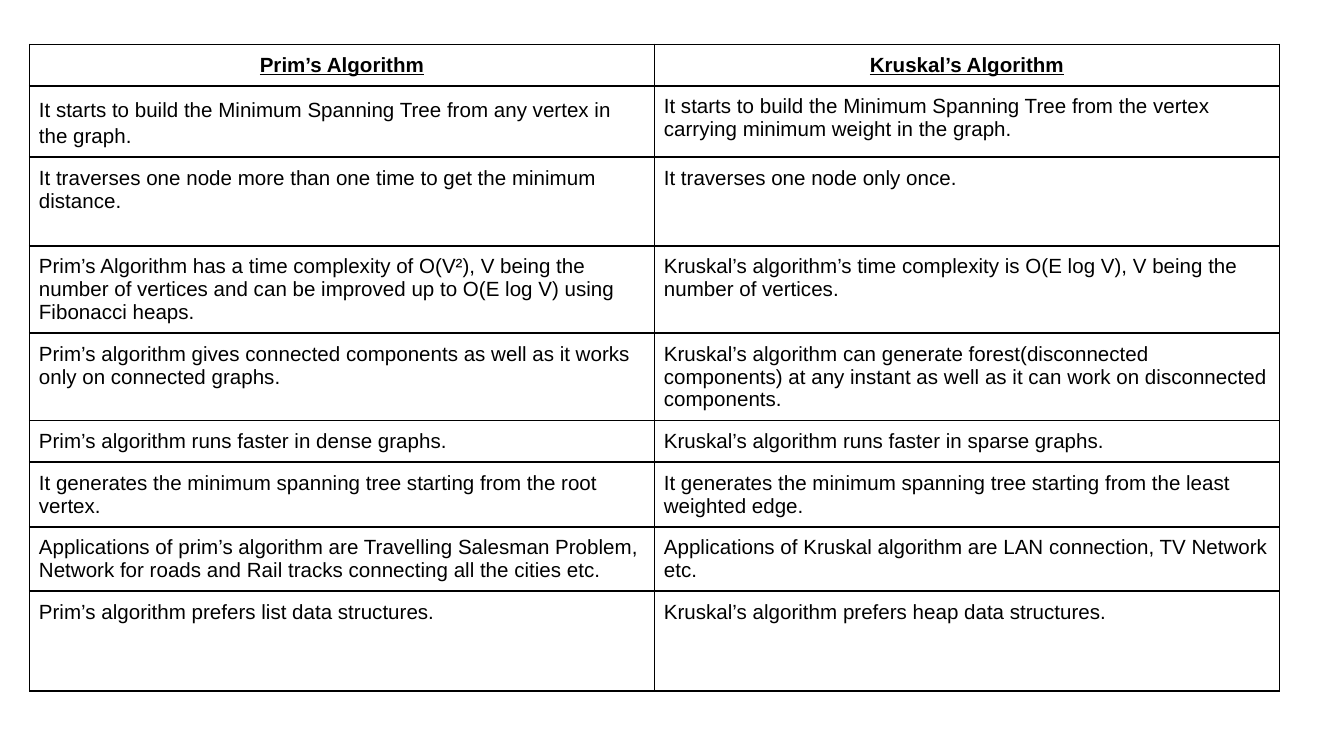
from lxml import etree
from pptx import Presentation
from pptx.dml.color import RGBColor
from pptx.enum.text import PP_ALIGN
from pptx.oxml.ns import qn
from pptx.util import Inches, Pt

CENTER = PP_ALIGN.CENTER
LEFT = PP_ALIGN.LEFT
BLANK_LAYOUT = 6
COLORS = {"ink": "000000", "paper": "FFFFFF"}
FONT = "Arial"
FONT_SIZE = 11
MARGIN = 0.07
SLIDE_WIDTH = 10
TABLE_LEFT, TABLE_TOP = 0.22, 0.33
COLUMN_WIDTH = 4.65
LOOSE_CELL = (1, 0)
LOOSE_SPACING = 1.15

COMPARISON = [
    (0.31, "Prim’s Algorithm", "Kruskal’s Algorithm"),
    (0.53, "It starts to build the Minimum Spanning Tree from any vertex in the graph.",
     "It starts to build the Minimum Spanning Tree from the vertex carrying minimum weight in the graph."),
    (0.66, "It traverses one node more than one time to get the minimum distance.",
     "It traverses one node only once."),
    (0.65, "Prim’s Algorithm has a time complexity of O(V²), V being the number of vertices "
     "and can be improved up to O(E log V) using Fibonacci heaps.",
     "Kruskal’s algorithm’s time complexity is O(E log V), V being the number of vertices."),
    (0.65, "Prim’s algorithm gives connected components as well as it works only on connected graphs.",
     "Kruskal’s algorithm can generate forest(disconnected components) at any instant "
     "as well as it can work on disconnected components."),
    (0.31, "Prim’s algorithm runs faster in dense graphs.",
     "Kruskal’s algorithm runs faster in sparse graphs."),
    (0.48, "It generates the minimum spanning tree starting from the root vertex.",
     "It generates the minimum spanning tree starting from the least weighted edge."),
    (0.48, "Applications of prim’s algorithm are Travelling Salesman Problem, "
     "Network for roads and Rail tracks connecting all the cities etc.",
     "Applications of Kruskal algorithm are LAN connection, TV Network etc."),
    (0.74, "Prim’s algorithm prefers list data structures.",
     "Kruskal’s algorithm prefers heap data structures."),
]


def add_borders(cell):
    properties = cell._tc.get_or_add_tcPr()
    for side in ("a:lnL", "a:lnR", "a:lnT", "a:lnB"):
        border = etree.SubElement(properties, qn(side), w=str(Pt(1)))
        fill = etree.SubElement(border, qn("a:solidFill"))
        etree.SubElement(fill, qn("a:srgbClr"), val=COLORS["ink"])


def fill_cell(cell, text, is_header, line_spacing):
    add_borders(cell)
    cell.fill.solid()
    cell.fill.fore_color.rgb = RGBColor.from_string(COLORS["paper"])
    cell.margin_left = cell.margin_right = Inches(MARGIN)
    cell.margin_top = cell.margin_bottom = Inches(MARGIN)
    cell.text_frame.text = text
    paragraph = cell.text_frame.paragraphs[0]
    paragraph.alignment = CENTER if is_header else LEFT
    paragraph.line_spacing = line_spacing
    font = paragraph.runs[0].font
    font.name = FONT
    font.size = Pt(FONT_SIZE)
    font.bold = font.underline = is_header
    font.color.rgb = RGBColor.from_string(COLORS["ink"])


def main():
    deck = Presentation()
    deck.slide_width = Inches(SLIDE_WIDTH)
    deck.slide_height = Inches(SLIDE_WIDTH * 9 / 16)
    slide = deck.slides.add_slide(deck.slide_layouts[BLANK_LAYOUT])
    total_height = sum(height for height, *_ in COMPARISON)
    table = slide.shapes.add_table(
        len(COMPARISON), 2, Inches(TABLE_LEFT), Inches(TABLE_TOP),
        Inches(2 * COLUMN_WIDTH), Inches(total_height)).table
    table.horz_banding = False
    for column in table.columns:
        column.width = Inches(COLUMN_WIDTH)
    for row, (height, *statements) in enumerate(COMPARISON):
        table.rows[row].height = Inches(height)
        for column, statement in enumerate(statements):
            spacing = LOOSE_SPACING if (row, column) == LOOSE_CELL else 1.0
            fill_cell(table.cell(row, column), statement, row == 0, spacing)
    deck.save("out.pptx")


if __name__ == "__main__":
    main()
